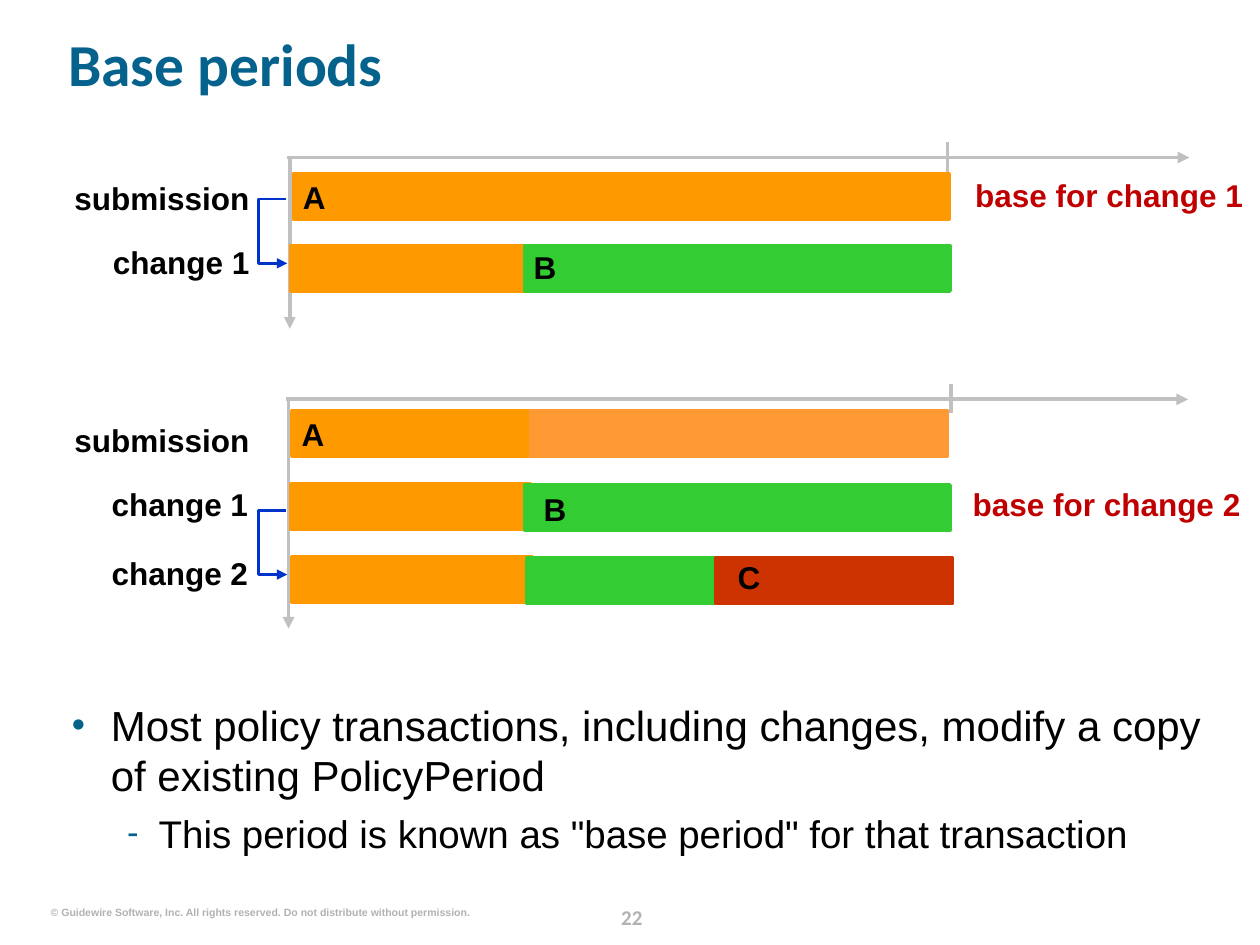
"""Build the "Base periods" slide: two policy timelines and a short explanation."""
import pptx
import pptx.dml.color
import pptx.enum.shapes
import pptx.enum.text
import pptx.oxml
import pptx.oxml.ns
import pptx.util
from lxml import etree
from pptx.util import Inches

RGBColor = pptx.dml.color.RGBColor
PP_ALIGN = pptx.enum.text.PP_ALIGN
qn = pptx.oxml.ns.qn

BLACK = RGBColor(0x00, 0x00, 0x00)
TEAL = RGBColor(0x04, 0x62, 0x8C)
GRAY = RGBColor(0xC0, 0xC0, 0xC0)
FOOTER_GRAY = RGBColor(0xB2, 0xB2, 0xB2)
ORANGE = RGBColor(0xFF, 0x99, 0x00)
LIGHT_ORANGE = RGBColor(0xFF, 0x99, 0x33)
GREEN = RGBColor(0x33, 0xCC, 0x33)
RUST = RGBColor(0xCC, 0x33, 0x00)
RED = RGBColor(0xC0, 0x00, 0x00)
BLUE = RGBColor(0x00, 0x33, 0xCC)

prs = pptx.Presentation()
prs.slide_width, prs.slide_height = Inches(10), Inches(7.5)
slide = prs.slides.add_slide(prs.slide_layouts[6])
shapes = slide.shapes


def add_text(text, left, top, width, height, size=18, color=BLACK,
             align=PP_ALIGN.LEFT, font="Arial", bold=True, wrap=False):
    box = shapes.add_textbox(Inches(left), Inches(top), Inches(width), Inches(height))
    frame = box.text_frame
    frame.margin_left = frame.margin_right = frame.margin_top = frame.margin_bottom = 0
    frame.word_wrap = wrap
    frame.text = text
    for paragraph in frame.paragraphs:
        paragraph.alignment = align
        for run in paragraph.runs:
            run.font.name, run.font.size, run.font.bold = font, pptx.util.Pt(size), bold
            run.font.color.rgb = color
    return frame


def style_line(shape, color, width, arrow):
    shape.line.color.rgb = color
    shape.line.width = pptx.util.Pt(width)
    properties = shape.element.spPr
    if arrow:
        etree.SubElement(properties.find(qn("a:ln")), qn("a:tailEnd"), type="triangle")
    etree.SubElement(properties, qn("a:effectLst"))


add_text("22", 4.73, 7.13, 0.57, 0.25, 12, FOOTER_GRAY, PP_ALIGN.CENTER,
         "Calibri").paragraphs[0].line_spacing = pptx.util.Pt(18)
add_text("© Guidewire Software, Inc. All rights reserved. Do not distribute without permission.",
         0.4, 7.19, 3.33, 0.1, 6, FOOTER_GRAY, PP_ALIGN.RIGHT)

title = add_text("Base periods", 0.54, 0.13, 9.1, 0.81, 34, TEAL, font="Calibri", wrap=True)
title.vertical_anchor = pptx.enum.text.MSO_ANCHOR.MIDDLE
title.paragraphs[0].line_spacing = 0.9

explanation = add_text(
    "Most policy transactions, including changes, modify a copy of existing PolicyPeriod\n"
    'This period is known as "base period" for that transaction',
    0.57, 5.55, 9.1, 1.37, 24, bold=False, wrap=True)
bullets = [("•", 0.31, 0.31, 24, 0), ("-", 0.69, 0.25, 22, 5.5)]
for level, (paragraph, (bullet, margin, hanging, size, before)) in enumerate(
        zip(explanation.paragraphs, bullets)):
    paragraph.level = level
    paragraph.space_before = pptx.util.Pt(before)
    properties = paragraph._p.get_or_add_pPr()
    properties.set("marL", str(Inches(margin)))
    properties.set("indent", str(-Inches(hanging)))
    bullet_color = etree.SubElement(properties, qn("a:buClr"))
    etree.SubElement(bullet_color, qn("a:srgbClr"), val=str(TEAL))
    etree.SubElement(properties, qn("a:buSzPct"), val="90000")
    etree.SubElement(properties, qn("a:buFont"), typeface="Arial")
    etree.SubElement(properties, qn("a:buChar"), char=bullet)
    paragraph.runs[0].font.size = pptx.util.Pt(size)

axes = [
    (2.28, 1.25, 9.44, 1.25, True),
    (2.3, 1.26, 2.3, 2.61, True),
    (7.52, 1.37, 7.52, 1.13, False),
    (2.27, 3.17, 9.43, 3.17, True),
    (2.29, 3.17, 2.29, 4.99, True),
    (7.55, 3.28, 7.55, 3.05, False),
]
for x1, y1, x2, y2, arrow in axes:
    axis = shapes.add_connector(pptx.enum.shapes.MSO_CONNECTOR.STRAIGHT,
                                Inches(x1), Inches(y1), Inches(x2), Inches(y2))
    style_line(axis, GRAY, 2.25, arrow)

period_bars = [
    (2.33, 1.38, 5.2, ORANGE),
    (2.31, 1.95, 1.9, ORANGE),
    (4.17, 1.95, 3.37, GREEN),
    (4.15, 3.26, 3.37, LIGHT_ORANGE),
    (2.32, 3.26, 1.86, ORANGE),
    (2.31, 3.84, 1.9, ORANGE),
    (4.17, 3.85, 3.37, GREEN),
    (2.32, 4.42, 1.9, ORANGE),
    (4.18, 4.43, 3.37, GREEN),
    (5.68, 4.43, 1.88, RUST),
]
for left, top, width, color in period_bars:
    bar = shapes.add_shape(pptx.enum.shapes.MSO_SHAPE.RECTANGLE,
                           Inches(left), Inches(top), Inches(width), Inches(0.36))
    bar.fill.solid()
    bar.fill.fore_color.rgb = color
    style_line(bar, color, 2.25, False)

row_labels = [("submission", 0.47, 1.42), ("change 1", 0.47, 1.93),
              ("submission", 0.47, 3.34), ("change 1", 0.46, 3.85), ("change 2", 0.46, 4.4)]
for label, left, top in row_labels:
    add_text(label, left, top, 1.51, 0.3, align=PP_ALIGN.RIGHT)

period_letters = [("A", 2.33, 1.41), ("B", 4.16, 1.97),
                  ("A", 2.32, 3.29), ("B", 4.24, 3.89), ("C", 5.78, 4.43)]
for letter, left, top in period_letters:
    add_text(letter, left, top, 0.33, 0.3, align=PP_ALIGN.CENTER)

for note, left, top in [("base for change 1", 7.74, 1.4), ("base for change 2", 7.72, 3.85)]:
    add_text(note, left, top, 2.16, 0.3, color=RED)

for top in (1.58, 4.05):
    bottom = top + 0.51
    builder = shapes.build_freeform(Inches(2.27), Inches(top))
    builder.add_line_segments([(Inches(x), Inches(y)) for x, y in
                               ((2.05, top), (2.05, bottom), (2.28, bottom))], close=False)
    copy_arrow = builder.convert_to_shape()
    copy_arrow.fill.background()
    style_line(copy_arrow, BLUE, 1.5, True)

prs.save("out.pptx")
